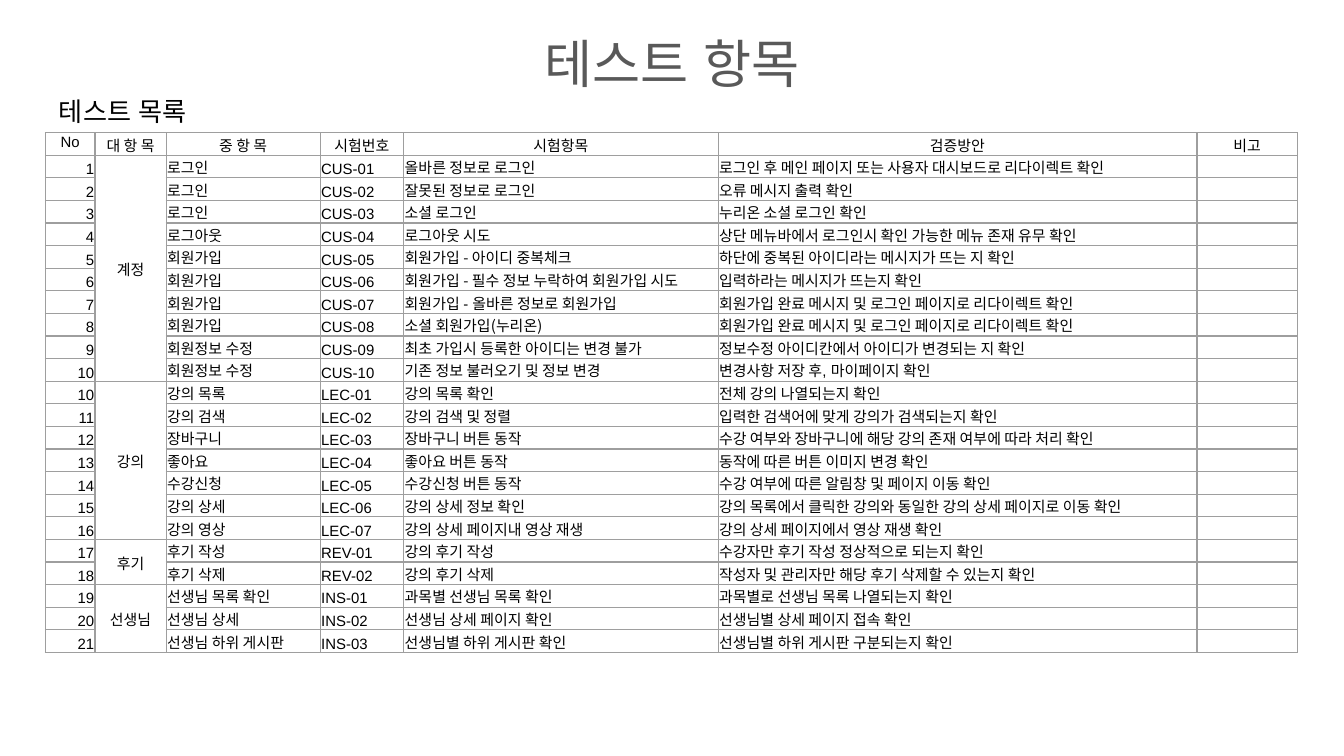
from dataclasses import dataclass

from lxml import etree
from pptx import Presentation
from pptx.dml.color import RGBColor
from pptx.enum.text import MSO_ANCHOR, PP_ALIGN
from pptx.oxml.ns import qn
from pptx.util import Pt

LEFT, CENTER, RIGHT = PP_ALIGN.LEFT, PP_ALIGN.CENTER, PP_ALIGN.RIGHT
TOP, MIDDLE, BOTTOM = MSO_ANCHOR.TOP, MSO_ANCHOR.MIDDLE, MSO_ANCHOR.BOTTOM
ARIAL, NOTO = "Arial", "Noto Sans CJK KR"
BLACK, GREY, BORDER = "000000", "595959", "9E9E9E"
CELL_SIZE = 8
ROW_HEIGHT = 12.13
MARGIN = 24.3
COLUMN_WIDTHS = (26.64, 38.16, 82.5, 44.8, 168.4, 256.5, 53.8)
HEADERS = ("No", "대 항 목", "중 항 목", "시험번호", "시험항목", "검증방안", "비고")


@dataclass
class Case:
    """One test case; a tilde in a text switches between the two fonts."""
    number: str
    feature: str
    item: str
    check: str


@dataclass
class Group:
    """A merged category with its code prefix and test cases."""
    name: str
    prefix: str
    cases: list[Case]


GROUPS = [
    Group("계정", "CUS", [
        Case("1", "로그인", "올바른 정보로 로그인", "로그인 후 메인 페이지 또는 사용자 대시보드로 리다이렉트 확인"),
        Case("2", "로그인", "잘못된 정보로 로그인", "오류 메시지 출력 확인"),
        Case("3", "로그인", "소셜 로그인", "누리온 소셜 로그인 확인"),
        Case("4", "로그아웃", "로그아웃 시도", "상단 메뉴바에서 로그인시 확인 가능한 메뉴 존재 유무 확인"),
        Case("5", "회원가입", "~회원가입 - 아이디 중복체크", "~하단에 중복된 아이디라는 메시지가 뜨는 지 확인"),
        Case("6", "회원가입", "~회원가입 - ~필수 정보 누락하여 회원가입 시도", "~입력하라는 메시지가 뜨는지 확인"),
        Case("7", "회원가입", "회원가입 - 올바른 정보로 회원가입", "회원가입 완료 메시지 및 로그인 페이지로 리다이렉트 확인"),
        Case("8", "회원가입", "~소셜 회원가입(누리온)", "회원가입 완료 메시지 및 로그인 페이지로 리다이렉트 확인"),
        Case("9", "회원정보 수정", "최초 가입시 등록한 아이디는 변경 불가", "~정보수정 아이디칸에서 아이디가 변경되는 지 확인"),
        Case("10", "회원정보 수정", "기존 정보 불러오기 및 정보 변경", "변경사항 저장 후, 마이페이지 확인"),
    ]),
    Group("강의", "LEC", [
        Case("10", "강의 목록", "강의 목록 확인", "전체 강의 나열되는지 확인"),
        Case("11", "강의 검색", "강의 검색 및 정렬", "입력한 검색어에 맞게 강의가 검색되는지 확인"),
        Case("12", "장바구니", "장바구니 버튼 동작", "수강 여부와 장바구니에 해당 강의 존재 여부에 따라 처리 확인"),
        Case("13", "좋아요", "좋아요 버튼 동작", "동작에 따른 버튼 이미지 변경 확인"),
        Case("14", "수강신청", "수강신청 버튼 동작", "수강 여부에 따른 알림창 및 페이지 이동 확인"),
        Case("15", "강의 상세", "강의 상세 정보 확인", "강의 목록에서 클릭한 강의와 동일한 강의 상세 페이지로 이동 확인"),
        Case("16", "강의 영상", "강의 상세 페이지내 영상 재생", "강의 상세 페이지에서 영상 재생 확인"),
    ]),
    Group("후기", "REV", [
        Case("17", "후기 작성", "강의 후기 작성", "수강자만 후기 작성 정상적으로 되는지 확인"),
        Case("18", "후기 삭제", "강의 후기 삭제", "작성자 및 관리자만 해당 후기 삭제할 수 있는지 확인"),
    ]),
    Group("선생님", "INS", [
        Case("19", "선생님 목록 확인", "과목별 선생님 목록 확인", "과목별로 선생님 목록 나열되는지 확인"),
        Case("20", "선생님 상세", "선생님 상세 페이지 확인", "선생님별 상세 페이지 접속 확인"),
        Case("21", "선생님 하위 게시판", "선생님별 하위 게시판 확인", "선생님별 하위 게시판 구분되는지 확인"),
    ]),
]


def color(value: str) -> RGBColor:
    """Turn a hex string into a colour."""
    return RGBColor.from_string(value)


def write_text(frame, text: str, *, size: float, fill: str = BLACK,
               align=LEFT, east_asian: str = ARIAL) -> None:
    """Write one paragraph, switching Latin fonts at each tilde."""
    paragraph = frame.paragraphs[0]
    paragraph.alignment = align
    for index, part in enumerate(text.split("~")):
        if not part:
            continue
        run = paragraph.add_run()
        run.text = part
        run.font.size = Pt(size)
        run.font.color.rgb = color(fill)
        run.font.name = NOTO if index % 2 else ARIAL
        etree.SubElement(run.font._element, qn("a:ea"), typeface=east_asian)
    if not text:
        end = etree.SubElement(paragraph._p, qn("a:endParaRPr"))
        end.set("sz", str(int(size * 100)))


def add_label(slide, text: str, box: tuple, **text_format) -> None:
    """Add a text box with equal insets."""
    shape = slide.shapes.add_textbox(*(Pt(length) for length in box))
    frame = shape.text_frame
    frame.word_wrap = True
    frame.margin_left = frame.margin_right = Pt(7.2)
    frame.margin_top = frame.margin_bottom = Pt(7.2)
    write_text(frame, text, **text_format)


def style_cell(cell) -> None:
    """Clear the fill, tighten the margins and draw the four borders."""
    cell.fill.background()
    cell.margin_left = cell.margin_right = cell.margin_top = Pt(0.5)
    cell.margin_bottom = Pt(0)
    properties = cell._tc.get_or_add_tcPr()
    for index, side in enumerate(("lnL", "lnR", "lnT", "lnB")):
        line = etree.Element(qn(f"a:{side}"), w=str(Pt(0.75)))
        solid = etree.SubElement(line, qn("a:solidFill"))
        etree.SubElement(solid, qn("a:srgbClr"), val=BORDER)
        properties.insert(index, line)


def fill_cell(cell, text: str, align=LEFT, anchor=BOTTOM) -> None:
    """Put text into a table cell."""
    cell.vertical_anchor = anchor
    write_text(cell.text_frame, text, size=CELL_SIZE, align=align, east_asian=NOTO)


def add_test_table(slide) -> None:
    """Build the test list with merged categories."""
    row_count = 1 + sum(len(group.cases) for group in GROUPS)
    shape = slide.shapes.add_table(
        row_count, len(HEADERS), Pt(MARGIN), Pt(71.1),
        Pt(sum(COLUMN_WIDTHS)), Pt(ROW_HEIGHT * row_count))
    table = shape.table
    table.first_row = table.horz_banding = False
    for column, width in zip(table.columns, COLUMN_WIDTHS):
        column.width = Pt(width)
    for cell in table.iter_cells():
        style_cell(cell)
    for index, header in enumerate(HEADERS):
        fill_cell(table.cell(0, index), header, CENTER, TOP)

    row = 1
    for group in GROUPS:
        category = table.cell(row, 1)
        fill_cell(category, group.name, CENTER, MIDDLE)
        for offset in range(1, len(group.cases)):
            fill_cell(table.cell(row + offset, 1), "")
        category.merge(table.cell(row + len(group.cases) - 1, 1))
        for order, case in enumerate(group.cases, 1):
            fill_cell(table.cell(row, 0), case.number, RIGHT)
            texts = (case.feature, f"{group.prefix}-{order:02}", case.item, case.check, "")
            for column, text in enumerate(texts, 2):
                fill_cell(table.cell(row, column), text)
            row += 1


def main() -> None:
    """Create the slide and save it."""
    presentation = Presentation()
    presentation.slide_width, presentation.slide_height = Pt(720), Pt(405)
    slide = presentation.slides.add_slide(presentation.slide_layouts[6])
    add_label(slide, "테스트 항목", (24.48, 9.36, 671.04, 67),
              size=28, fill=GREY, align=CENTER)
    add_label(slide, "테스트 목록", (24.48, 43.92, 222.5, 27.36), size=14)
    add_test_table(slide)
    presentation.save("out.pptx")


main()
